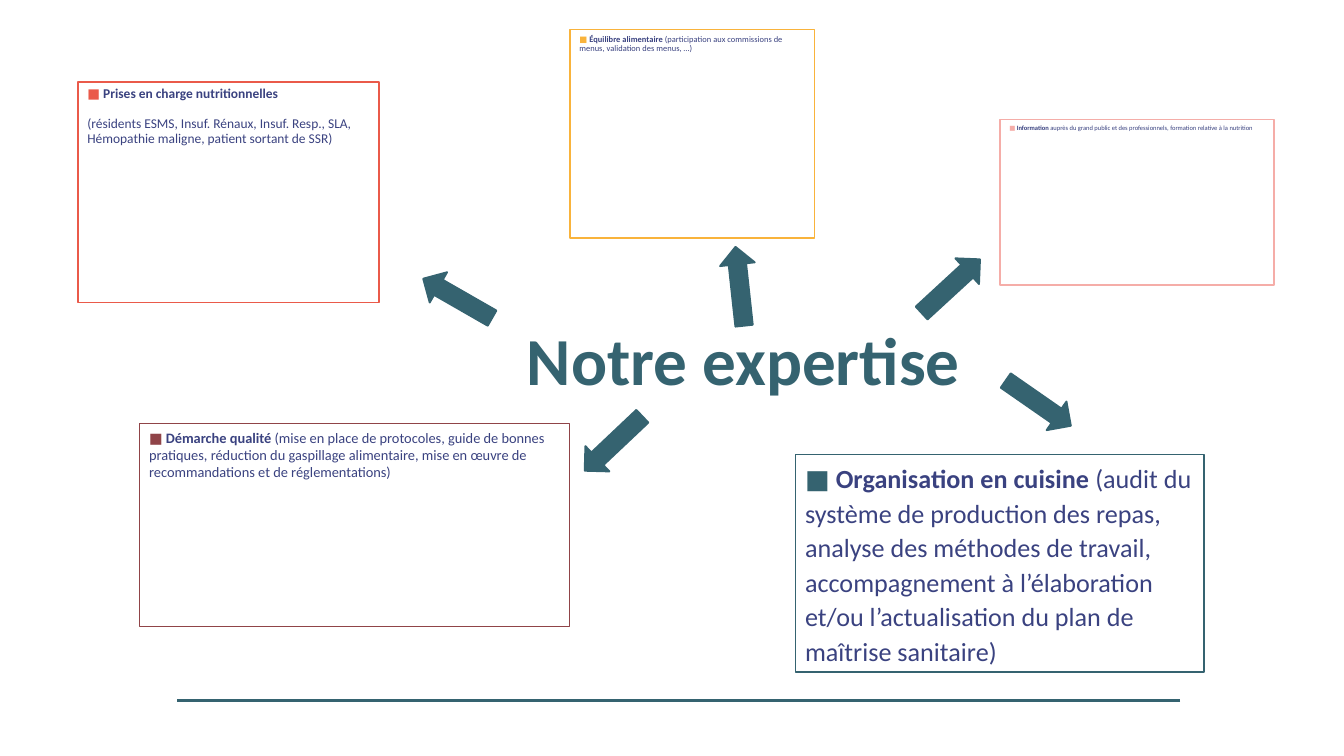
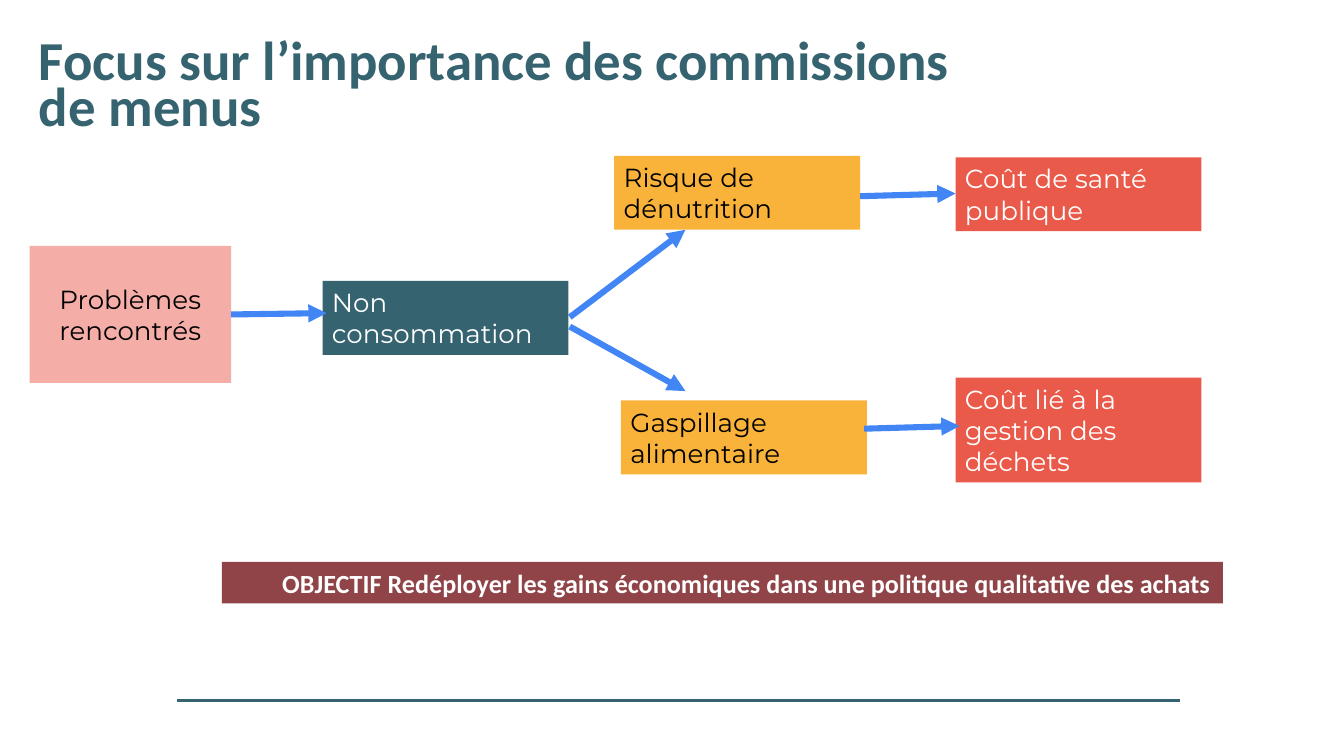
from lxml import etree
from pptx import Presentation
from pptx.dml.color import RGBColor
from pptx.enum.shapes import MSO_CONNECTOR, MSO_SHAPE
from pptx.enum.text import MSO_ANCHOR, MSO_AUTO_SIZE, PP_ALIGN
from pptx.oxml.ns import qn
from pptx.util import Inches, Pt

RECT, ARROW = MSO_SHAPE.RECTANGLE, MSO_SHAPE.RIGHT_ARROW
STRAIGHT = MSO_CONNECTOR.STRAIGHT
TOP, MIDDLE, BOTTOM = MSO_ANCHOR.TOP, MSO_ANCHOR.MIDDLE, MSO_ANCHOR.BOTTOM
LEFT, CENTER, JUSTIFY = PP_ALIGN.LEFT, PP_ALIGN.CENTER, PP_ALIGN.JUSTIFY

COLORS = {
    "teal": "356370", "navy": "3A4280", "coral": "EA5A4A", "amber": "F9B33B",
    "wine": "904448", "pink": "F5ADA8", "blue": "4285F4",
    "white": "FFFFFF", "black": "000000",
}
RGB = {name: RGBColor.from_string(value) for name, value in COLORS.items()}
HEAD_FONT, NODE_FONT = "Calibri", "Montserrat"

prs = Presentation()
prs.slide_width = Inches(10)
prs.slide_height = prs.slide_width * 9 // 16
UNIT = prs.slide_width / 100  # square grid, 100 columns across the slide


def grid(*cells):
    return [round(c * UNIT) for c in cells]


def frame(shape, cells, anchor):
    """Place a shape on the grid and set up its text frame."""
    shape.left, shape.top, shape.width, shape.height = grid(*cells)
    shape.shadow.inherit = False
    tf = shape.text_frame
    tf.word_wrap = True
    tf.auto_size = MSO_AUTO_SIZE.NONE
    tf.vertical_anchor = anchor
    tf.margin_left = tf.margin_right = Inches(0.07)
    tf.margin_top = tf.margin_bottom = Inches(0.04)
    return tf


expertise = prs.slides.add_slide(prs.slide_layouts[1])
focus = prs.slides.add_slide(prs.slide_layouts[5])

# Titles
titles = [
    (expertise, "Notre expertise", (38.5, 22.5, 37.7, 7.7), 36, 0.9),
    (focus, "Focus sur l’importance des commissions de menus",
     (2.2, 2.8, 72.2, 7.7), 29.4, 0.7),
]
for s, text, cells, size, spacing in titles:
    tf = frame(s.shapes.title, cells, BOTTOM)
    tf.text = text
    p = tf.paragraphs[0]
    p.alignment, p.line_spacing = LEFT, spacing
    font = p.runs[0].font
    font.name, font.size, font.bold = HEAD_FONT, Pt(size), True
    font.color.rgb = RGB["teal"]

# Slide 1: fields of expertise around the title
body = expertise.placeholders[1]
fields = [
    (body, (5.8, 6.1, 22.4, 16.4), "coral", 7.2, 0.9,
     "Prises en charge nutritionnelles",
     "(résidents ESMS, Insuf. Rénaux, Insuf. Resp., SLA, Hémopathie maligne, "
     "patient sortant de SSR)"),
    (None, (59.2, 33.8, 30.4, 16.2), "teal", 14, 1.1,
     "Organisation en cuisine ",
     "(audit du système de production des repas, analyse des méthodes de travail, "
     "accompagnement à l’élaboration et/ou l’actualisation du plan de maîtrise "
     "sanitaire)"),
    (None, (42.4, 2.2, 18.2, 15.5), "amber", 4.5, 0.9,
     "Équilibre alimentaire ",
     "(participation aux commissions de menus, validation des menus, …)"),
    (None, (10.4, 31.5, 32, 15.1), "wine", 7.7, 1.0,
     "Démarche qualité ",
     "(mise en place de protocoles, guide de bonnes pratiques, réduction du "
     "gaspillage alimentaire, mise en œuvre de recommandations et de "
     "réglementations)"),
    (None, (74.4, 8.9, 20.4, 12.3), "pink", 3.5, 0.8,
     "Information ",
     "auprès du grand public et des professionnels, formation relative à la "
     "nutrition"),
]
for holder, cells, color, size, spacing, head, detail in fields:
    box = holder or expertise.shapes.add_shape(RECT, *grid(*cells))
    tf = frame(box, cells, TOP)
    box.fill.background()
    box.line.color.rgb = RGB[color]
    box.line.width = Pt(0.75)
    p = tf.paragraphs[0]
    last = tf.add_paragraph() if holder else p
    for para, text, ink, bold in ((p, "■ ", color, True), (p, head, "navy", True),
                                  (last, detail, "navy", False)):
        r = para.add_run()
        r.text = text
        r.font.name, r.font.size, r.font.bold = HEAD_FONT, Pt(size), bold
        r.font.color.rgb = RGB[ink]
    for para in tf.paragraphs:
        para.alignment, para.line_spacing = LEFT, spacing
        para.space_before = Pt(0 if para is tf.paragraphs[0] else 8)
        pPr = para._p.get_or_add_pPr()
        pPr.set("marL", "0")
        pPr.set("indent", "0")
        etree.SubElement(pPr, qn("a:buNone"))
    tf.paragraphs[0].space_before = Pt(0)

for left, top, angle in [(31.1, 20.9, 209.8), (67.8, 20, 317.4), (42.7, 31.7, 136.6),
                         (74.3, 28.7, 34.8), (52.1, 20, 263.8)]:
    arrow = expertise.shapes.add_shape(ARROW, *grid(left, top, 5.9, 2.6))
    arrow.rotation = angle
    arrow.shadow.inherit = False
    arrow.fill.solid()
    arrow.fill.fore_color.rgb = arrow.line.color.rgb = RGB["teal"]
    arrow.line.width = Pt(1)

# Slide 2: from problems to costs, and the objective
NODE_W, NODE_H = 18.3, 5.5
COST_X = 71.1
nodes = [
    ("Problèmes rencontrés", (2.2, 18.3, 15, 10.2), "pink", "black", CENTER),
    ("Non consommation", (24, 20.9, NODE_W, NODE_H), "teal", "white", LEFT),
    ("Risque de dénutrition", (45.7, 11.6, NODE_W, NODE_H), "amber", "black", LEFT),
    ("Gaspillage alimentaire", (46.2, 29.8, NODE_W, NODE_H), "amber", "black", LEFT),
    ("Coût de santé publique", (COST_X, 11.7, NODE_W, NODE_H), "coral", "white", LEFT),
    ("Coût lié à la gestion des déchets", (COST_X, 28.1, NODE_W, 7.8),
     "coral", "white", LEFT),
    ("OBJECTIF Redéployer les gains économiques dans une politique qualitative "
     "des achats", (16.5, 41.8, 74.5, 3.1), "wine", "white", JUSTIFY),
]
for text, cells, color, ink, align in nodes:
    node = focus.shapes.add_shape(RECT, *grid(*cells))
    tf = frame(node, cells, MIDDLE if align == CENTER else TOP)
    node.fill.solid()
    node.fill.fore_color.rgb = RGB[color]
    node.line.fill.background()
    tf.text = text
    p = tf.paragraphs[0]
    p.alignment = align
    font = p.runs[0].font
    font.name, font.size, font.bold = NODE_FONT, Pt(14), False
    font.color.rgb = RGB[ink]
    if align == JUSTIFY:
        font.name, font.bold = HEAD_FONT, True
        p._p.get_or_add_pPr().set("marL", str(Inches(0.38)))

# Flow arrows, and the footer rule that goes to the master
links = [
    ((42.4, 23.6, 51, 17.1), "blue", 3.25),
    ((42.4, 24.3, 51, 29.1), "blue", 3.25),
    ((64, 14.6, COST_X, 14.4), "blue", 3.25),
    ((64.3, 31.9, 71.4, 31.7), "blue", 3.25),
    ((17.2, 23.4, 24.3, 23.3), "blue", 3.25),
    ((87.8, 52.1, 13.2, 52.1), "teal", 1.5),
]
for ends, color, width in links:
    link = focus.shapes.add_connector(STRAIGHT, *grid(*ends))
    link.line.color.rgb = RGB[color]
    link.line.width = Pt(width)
    if color == "blue":
        etree.SubElement(link.line._get_or_add_ln(), qn("a:tailEnd"), type="triangle")
    else:
        prs.slide_master.shapes.element.append(link.element)
    etree.SubElement(link.element.spPr, qn("a:effectLst"))

prs.save("out.pptx")
